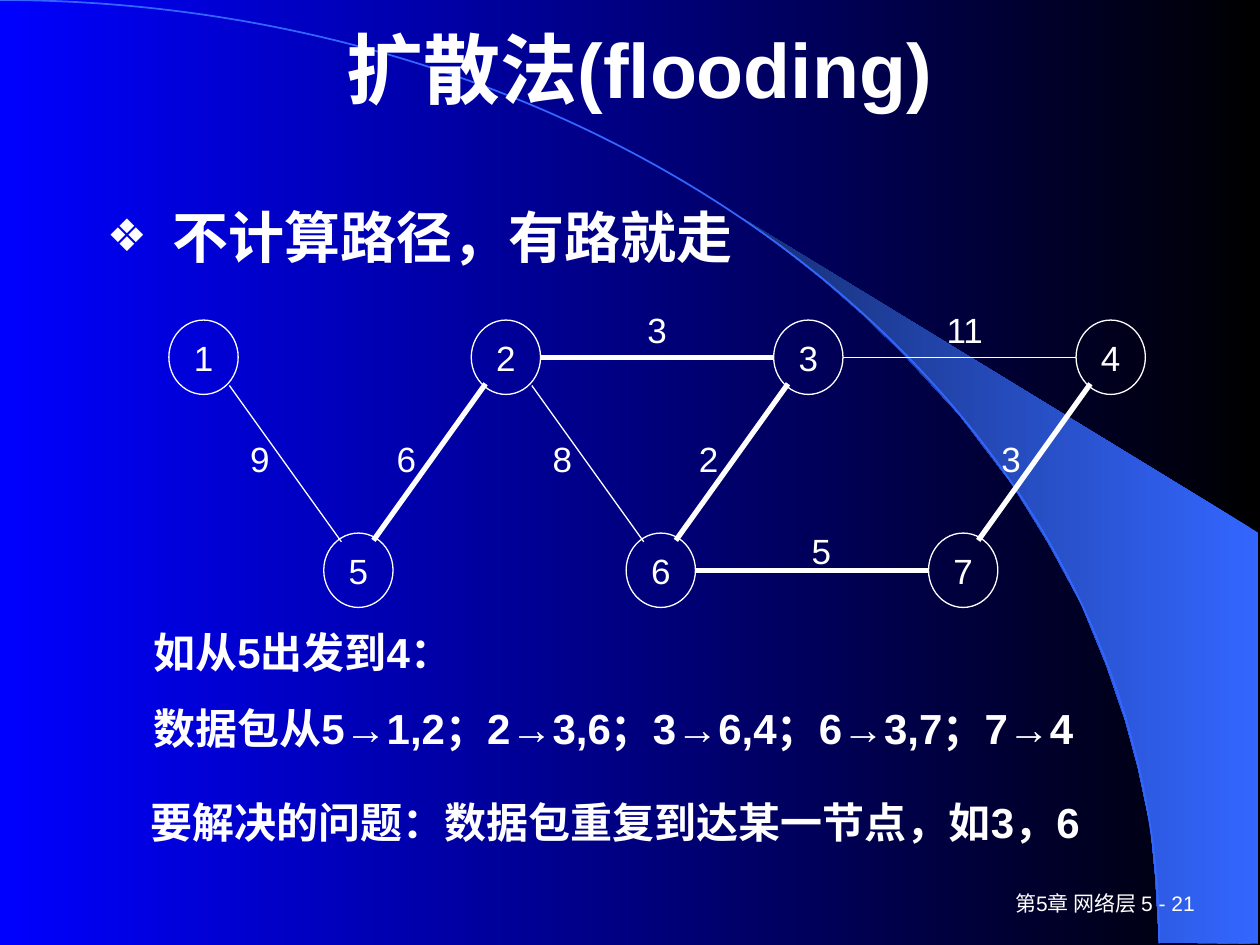
from lxml.etree import SubElement
from pptx import Presentation
from pptx.dml.color import RGBColor
from pptx.enum.shapes import MSO_CONNECTOR, MSO_SHAPE
from pptx.enum.text import MSO_ANCHOR, PP_ALIGN
from pptx.oxml.ns import qn
from pptx.util import Pt

COLORS = {"black": "000000", "blue": "0000FF", "white": "FFFFFF",
          "beam": "3366FF", "beam_dark": "172F75"}
FONT = "Arial"
NODE_W, NODE_H = 39.6, 42.5
COLUMN_STEP = 172.8
TOP_ROW, BOTTOM_ROW = 182.9, 304.6
THIN, BOLD = 0.75, 3

NODES = {name: (96.5 + i * COLUMN_STEP, TOP_ROW) for i, name in enumerate("1234")}
NODES.update({name: (185 + i * COLUMN_STEP, BOTTOM_ROW) for i, name in enumerate("567")})

# from, to, weight, line width, shift of the weight from the middle, top of the weight
EDGES = [
    ("3", "4", "11", THIN, 3, 172.8),
    ("1", "5", "9", THIN, -12, 246.2),
    ("2", "5", "6", BOLD, -14.8, 246.2),
    ("2", "6", "8", THIN, -12, 246.2),
    ("3", "6", "2", BOLD, -14.8, 246.2),
    ("4", "7", "3", BOLD, -14.8, 246.2),
    ("6", "7", "5", BOLD, 5.4, 298.8),
    ("2", "3", "3", BOLD, 0, 172.8),
]

BEAM = [
    (662.4, 538.6), (719.3, 539.3), (719.3, 304.6), (424.1, 124.6), (449.3, 143.3),
    (470.2, 159.8), (493.2, 180), (515.5, 201.6), (548.6, 237.6), (578.2, 276.5),
    (599, 310.3), (617.8, 344.9), (632.2, 380.2), (643, 411.8), (650.2, 438.5),
    (657.4, 472.3), (660.2, 501.1),
]


def rgb(name):
    return RGBColor.from_string(COLORS[name])


def set_gradient(fill, start, end):
    """Fill from start at the right to end at the left."""
    fill.gradient()
    fill.gradient_angle = 180
    for stop, name, position in zip(fill.gradient_stops, (start, end), (0, 1)):
        stop.color.rgb = rgb(name)
        stop.position = position


def set_text(tf, lines, size, bold=False, align=PP_ALIGN.LEFT,
             anchor=MSO_ANCHOR.TOP, gap=0):
    tf.word_wrap = True
    tf.vertical_anchor = anchor
    for i, line in enumerate(lines):
        p = tf.paragraphs[0] if i == 0 else tf.add_paragraph()
        p.text = line
        p.alignment = align
        if i:
            p.space_before = Pt(gap)
        for r in p.runs:
            r.font.size = Pt(size)
            r.font.bold = bold
            r.font.name = FONT
            r.font.color.rgb = rgb("white")


def add_text(s, x, y, w, h, lines, size, **style):
    sp = s.shapes.add_textbox(Pt(x), Pt(y), Pt(w), Pt(h))
    set_text(sp.text_frame, lines, size, **style)
    return sp


def add_bullet(p, char, indent):
    pPr = p._p.get_or_add_pPr()
    pPr.set("marL", str(Pt(indent)))
    pPr.set("indent", str(-Pt(indent)))
    color = SubElement(pPr, qn("a:buClr"))
    SubElement(color, qn("a:srgbClr"), val=COLORS["white"])
    SubElement(pPr, qn("a:buSzPct"), val="80000")
    SubElement(pPr, qn("a:buFont"), typeface=FONT)
    SubElement(pPr, qn("a:buChar"), char=char)


def add_backdrop(s):
    set_gradient(s.background.fill, "black", "blue")
    points = [(Pt(x), Pt(y)) for x, y in BEAM]
    builder = s.shapes.build_freeform(*points[0])
    builder.add_line_segments(points[1:], close=True)
    beam = builder.convert_to_shape()
    beam.shadow.inherit = False
    set_gradient(beam.fill, "beam", "beam_dark")
    beam.line.fill.background()

    arc = s.shapes.add_shape(MSO_SHAPE.ARC, Pt(-662.4), 0, Pt(1324.8), Pt(1078))
    arc.shadow.inherit = False
    arc.fill.background()
    arc.line.color.rgb = rgb("beam")
    arc.line.width = Pt(1)


def add_node(s, name):
    x, y = NODES[name]
    sp = s.shapes.add_shape(MSO_SHAPE.OVAL, Pt(x), Pt(y), Pt(NODE_W), Pt(NODE_H))
    sp.shadow.inherit = False
    sp.fill.background()
    sp.line.color.rgb = rgb("white")
    sp.line.width = Pt(THIN)
    tf = sp.text_frame
    tf.margin_left = tf.margin_right = tf.margin_top = tf.margin_bottom = 0
    set_text(tf, [name], 20, align=PP_ALIGN.CENTER, anchor=MSO_ANCHOR.MIDDLE)


def edge_ends(start, end):
    """Points where an edge leaves one node and meets the other."""
    (x1, y1), (x2, y2) = NODES[start], NODES[end]
    if y1 == y2:
        middle = y1 + NODE_H / 2
        return x1 + NODE_W, middle, x2, middle
    if x1 < x2:
        return x1 + 34.6, y1 + 37.4, x2 + 10.1, y2 + 5
    return x1 + 8.2, y1 + 36.4, x2 + 28.4, y2 + 4.2


def add_edge(s, start, end, width):
    ends = [Pt(v) for v in edge_ends(start, end)]
    line = s.shapes.add_connector(MSO_CONNECTOR.STRAIGHT, *ends)
    line.line.color.rgb = rgb("white")
    line.line.width = Pt(width)
    SubElement(line._element.spPr, qn("a:effectLst"))


def add_weight(s, start, end, weight, shift, top):
    middle = (NODES[start][0] + NODES[end][0] + NODE_W) / 2 + shift
    w = 20 + 15 * len(weight)
    add_text(s, middle - w / 2, top, w, 37.4, [weight], 20, align=PP_ALIGN.CENTER)


def add_network(s):
    for name in NODES:
        add_node(s, name)
    for start, end, _, width, _, _ in EDGES:
        add_edge(s, start, end, width)
    for start, end, weight, _, shift, top in EDGES:
        add_weight(s, start, end, weight, shift, top)


def main():
    prs = Presentation()
    prs.slide_width, prs.slide_height = Pt(720), Pt(540)
    s = prs.slides.add_slide(prs.slide_layouts[6])
    add_backdrop(s)
    add_text(s, 540, 504, 149.8, 23.8, ["第5章 网络层 5 - 21"], 12,
             align=PP_ALIGN.RIGHT, anchor=MSO_ANCHOR.MIDDLE)
    add_text(s, 65.5, 15.1, 612, 46.8, ["扩散法(flooding) "], 44, bold=True,
             align=PP_ALIGN.CENTER, anchor=MSO_ANCHOR.MIDDLE)
    body = add_text(s, 54, 112.3, 612, 48.2, ["不计算路径，有路就走"], 32, bold=True)
    add_bullet(body.text_frame.paragraphs[0], "❖", 37.4)
    add_network(s)
    add_text(s, 80.6, 354.2, 612, 79.9,
             ["如从5出发到4：", "数据包从5→1,2；2→3,6；3→6,4；6→3,7；7→4"],
             24, bold=True, gap=15)
    add_text(s, 79.2, 451.4, 612, 36,
             ["要解决的问题：数据包重复到达某一节点，如3，6"], 24, bold=True)
    prs.save("out.pptx")


if __name__ == "__main__":
    main()
